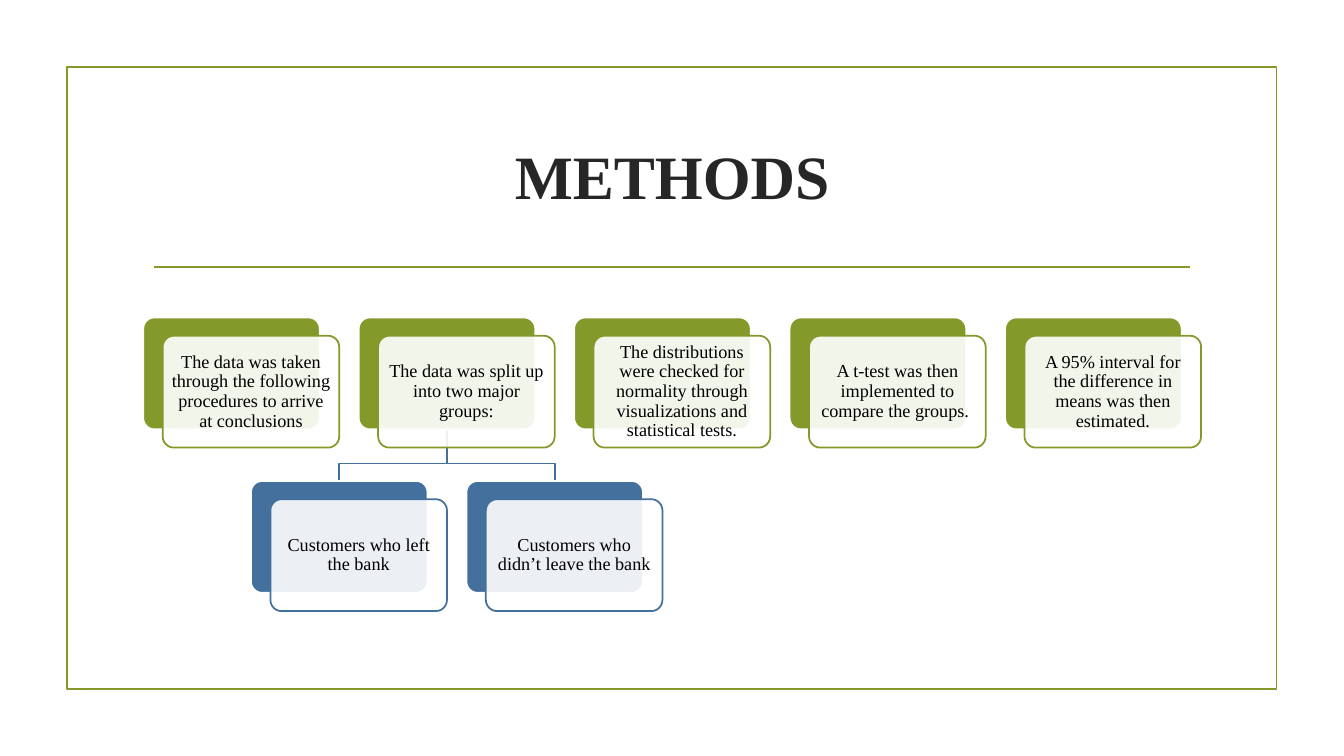
"""Build the METHODS slide: five steps, the second split into two groups."""
import pptx
import pptx.dml.color
import pptx.enum.shapes
import pptx.enum.text
import pptx.oxml
import pptx.oxml.ns
import pptx.util

Cm, Pt = pptx.util.Cm, pptx.util.Pt
SHAPE = pptx.enum.shapes.MSO_SHAPE
GREEN, BLUE, WHITE = "83992A", "44709D", "FFFFFF"
CARD_W, CARD_H, PITCH = 4.45, 2.82, 5.43
LEFT, STEP_TOP, GROUP_TOP = 3.61, 8, 12.12
SHIFT_X, SHIFT_Y = 0.49, 0.46


def paint(sp, line, fill=None, alpha=None):
    """Set outline, fill and opacity in percent, and drop the shadow."""
    sp.shadow.inherit = False
    sp.line.color.rgb = pptx.dml.color.RGBColor.from_string(line)
    sp.line.width = Pt(1.25)
    if fill is None:
        sp.fill.background()
        return
    sp.fill.solid()
    sp.fill.fore_color.rgb = pptx.dml.color.RGBColor.from_string(fill)
    if alpha:
        clr = sp._element.spPr.find(pptx.oxml.ns.qn("a:solidFill"))[0]
        clr.append(pptx.oxml.parse_xml(
            f'<a:alpha {pptx.oxml.ns.nsdecls("a")} val="{alpha * 1000}"/>'))


def write(sp, text, size=13, color="000000", bold=False, spacing=0.9, margin=0.13):
    """Put centred text into a shape."""
    tf = sp.text_frame
    tf.word_wrap = True
    tf.vertical_anchor = pptx.enum.text.MSO_ANCHOR.MIDDLE
    tf.margin_left = tf.margin_right = tf.margin_top = tf.margin_bottom = Cm(margin)
    p = tf.paragraphs[0]
    p.alignment = pptx.enum.text.PP_ALIGN.CENTER
    p.line_spacing = spacing
    r = p.add_run()
    r.text = text
    r.font.name = "Times New Roman"
    r.font.size = Pt(size)
    r.font.bold = bold
    r.font.color.rgb = pptx.dml.color.RGBColor.from_string(color)


prs = pptx.Presentation()
prs.slide_width, prs.slide_height = Cm(33.87), Cm(19.05)
s = prs.slides.add_slide(prs.slide_layouts[5])

title = s.shapes.title
title.left, title.top, title.width, title.height = Cm(3.61), Cm(2.72), Cm(26.67), Cm(3.63)
write(title, "METHODS", size=44, color="262626", bold=True)

frame = s.shapes.add_shape(SHAPE.RECTANGLE, Cm(1.69), Cm(1.69), Cm(30.48), Cm(15.67))
paint(frame, GREEN)

rule = s.shapes.add_connector(
    pptx.enum.shapes.MSO_CONNECTOR.STRAIGHT, Cm(3.89), Cm(6.73), Cm(30), Cm(6.73))
rule.line.color.rgb = pptx.dml.color.RGBColor.from_string(GREEN)
rule.line.width = Pt(1.25)
rule._element.spPr.append(pptx.oxml.parse_xml(
    f'<a:effectLst {pptx.oxml.ns.nsdecls("a")}/>'))

split_x = LEFT + PITCH + CARD_W / 2
bend_y = GROUP_TOP - 0.44
for end_x in (split_x + PITCH / 2, split_x - PITCH / 2):
    fb = s.shapes.build_freeform(Cm(split_x), Cm(STEP_TOP + CARD_H))
    fb.add_line_segments(
        [(Cm(split_x), Cm(bend_y)), (Cm(end_x), Cm(bend_y)), (Cm(end_x), Cm(GROUP_TOP))],
        close=False)
    paint(fb.convert_to_shape(), BLUE)

cards = [
    (0, STEP_TOP, GREEN, "The data was taken through the following procedures to arrive at conclusions"),
    (1, STEP_TOP, GREEN, "The data was split up into two major groups:"),
    (0.5, GROUP_TOP, BLUE, "Customers who left the bank"),
    (1.5, GROUP_TOP, BLUE, "Customers who didn’t leave the bank"),
    (2, STEP_TOP, GREEN, "The distributions were checked for normality through visualizations "
                         "and statistical tests."),
    (3, STEP_TOP, GREEN, "A t-test was then implemented to compare the groups. "),
    (4, STEP_TOP, GREEN, "A 95% interval for the difference in means was then estimated."),
]
for col, top, color, text in cards:
    x = LEFT + col * PITCH
    back = s.shapes.add_shape(SHAPE.ROUNDED_RECTANGLE, Cm(x), Cm(top), Cm(CARD_W), Cm(CARD_H))
    front = s.shapes.add_shape(
        SHAPE.ROUNDED_RECTANGLE, Cm(x + SHIFT_X), Cm(top + SHIFT_Y), Cm(CARD_W), Cm(CARD_H))
    back.adjustments[0] = front.adjustments[0] = 0.1
    paint(back, WHITE, color)
    paint(front, color, WHITE, alpha=90)
    write(front, text)

prs.save("out.pptx")
